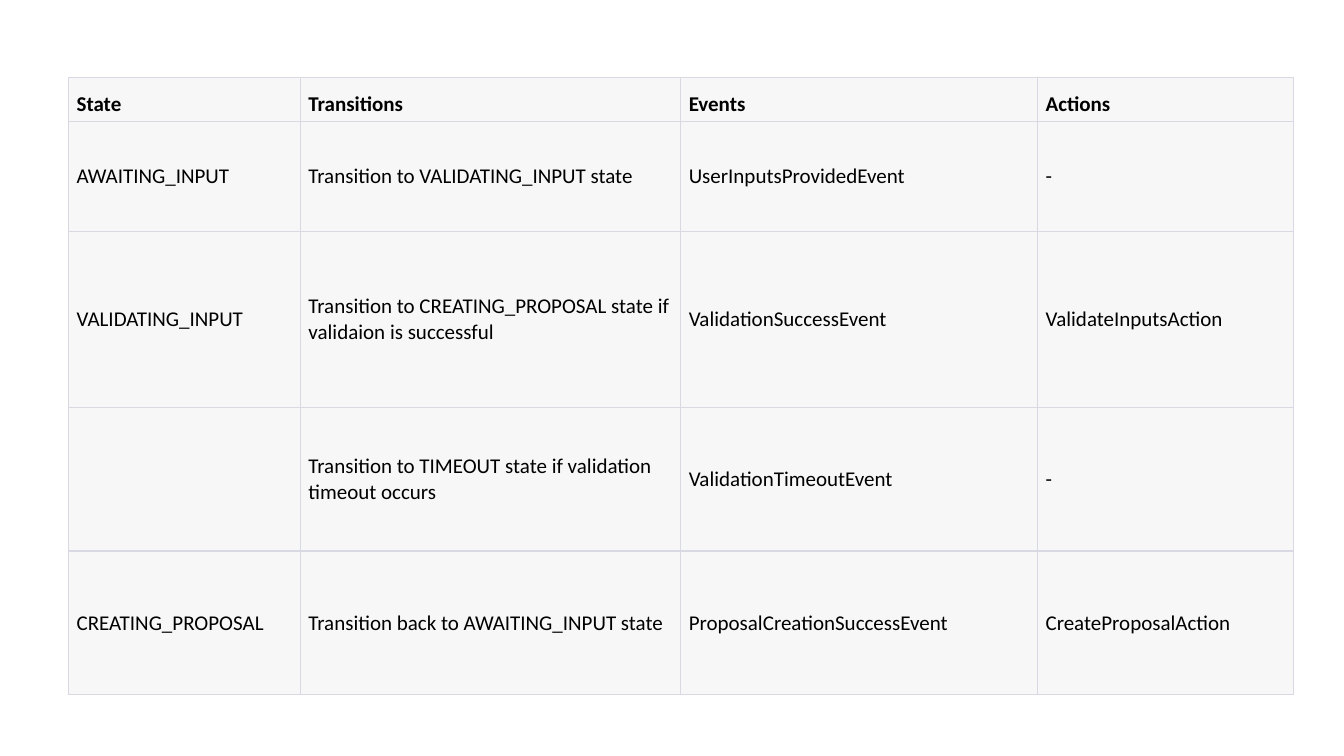
from lxml.etree import SubElement as Sub
from pptx import Presentation as Deck
from pptx.dml.color import RGBColor as Rgb
from pptx.enum.text import MSO_ANCHOR as Anchor
from pptx.oxml.ns import qn
from pptx.util import Inches, Pt

HUES = {"ink": "000000", "fill": "F7F7F8", "rule": "D9D9E3"}
FONT = {"name": "Calibri", "size": Pt(15)}
INSET = {
    "margin_left": Inches(0.08), "margin_right": Inches(0.08),
    "margin_top": Inches(0.04), "margin_bottom": Inches(0.04),
}
FLAGS = {"first_row": False, "horz_banding": False}
THIN, THICK = Pt(0.75), Pt(1)

LEFT, TOP = 5.1, 10.2
COLS = [17.25, 28.3, 26.55, 19.05]
ROWS = [5.85, 14.55, 23.3, 19, 19]
STATES = [
    ["State", "Transitions", "Events", "Actions"],
    ["AWAITING_INPUT", "Transition to VALIDATING_INPUT state",
     "UserInputsProvidedEvent", "-"],
    ["VALIDATING_INPUT",
     "Transition to CREATING_PROPOSAL state if validaion is successful",
     "ValidationSuccessEvent", "ValidateInputsAction"],
    ["", "Transition to TIMEOUT state if validation timeout occurs",
     "ValidationTimeoutEvent", "-"],
    ["CREATING_PROPOSAL", "Transition back to AWAITING_INPUT state",
     "ProposalCreationSuccessEvent", "CreateProposalAction"],
]


def apply(item, values):
    for key, value in values.items():
        setattr(item, key, value)


class Page:
    def __init__(self, deck):
        self.wide, self.high = deck.slide_width, deck.slide_height
        self.slide = deck.slides.add_slide(deck.slide_layouts[6])

    def across(self, share):
        return round(self.wide * share / 100)

    def down(self, share):
        return round(self.high * share / 100)

    def border(self, cell, sides):
        props = cell._tc.get_or_add_tcPr()
        for side, width in sides.items():
            line = Sub(props, qn("a:ln" + side), w=str(width))
            paint = Sub(line, qn("a:solidFill"))
            Sub(paint, qn("a:srgbClr"), val=HUES["rule"])

    def cell(self, cell, text, head, last):
        self.border(cell, {
            "L": THIN, "R": THIN,
            "T": THIN if head else THICK, "B": THIN if last else THICK,
        })
        cell.fill.solid()
        cell.fill.fore_color.rgb = Rgb.from_string(HUES["fill"])
        spot = Anchor.BOTTOM if head else Anchor.MIDDLE
        apply(cell, INSET | {"text": text, "vertical_anchor": spot})
        for run in cell.text_frame.paragraphs[0].runs:
            apply(run.font, FONT | {"bold": head})
            run.font.color.rgb = Rgb.from_string(HUES["ink"])

    def table(self, data, left, top, cols, rows):
        table = self.slide.shapes.add_table(
            len(rows), len(cols), self.across(left), self.down(top),
            self.across(sum(cols)), self.down(sum(rows))).table
        apply(table, FLAGS)
        for col, share in zip(table.columns, cols):
            col.width = self.across(share)
        for n, (row, share) in enumerate(zip(table.rows, rows)):
            row.height = self.down(share)
            for cell, text in zip(row.cells, data[n]):
                self.cell(cell, text, n == 0, n == len(rows) - 1)


deck = Deck()
apply(deck, {"slide_width": Inches(13.33), "slide_height": Inches(7.5)})
Page(deck).table(STATES, LEFT, TOP, COLS, ROWS)
deck.save("out.pptx")
